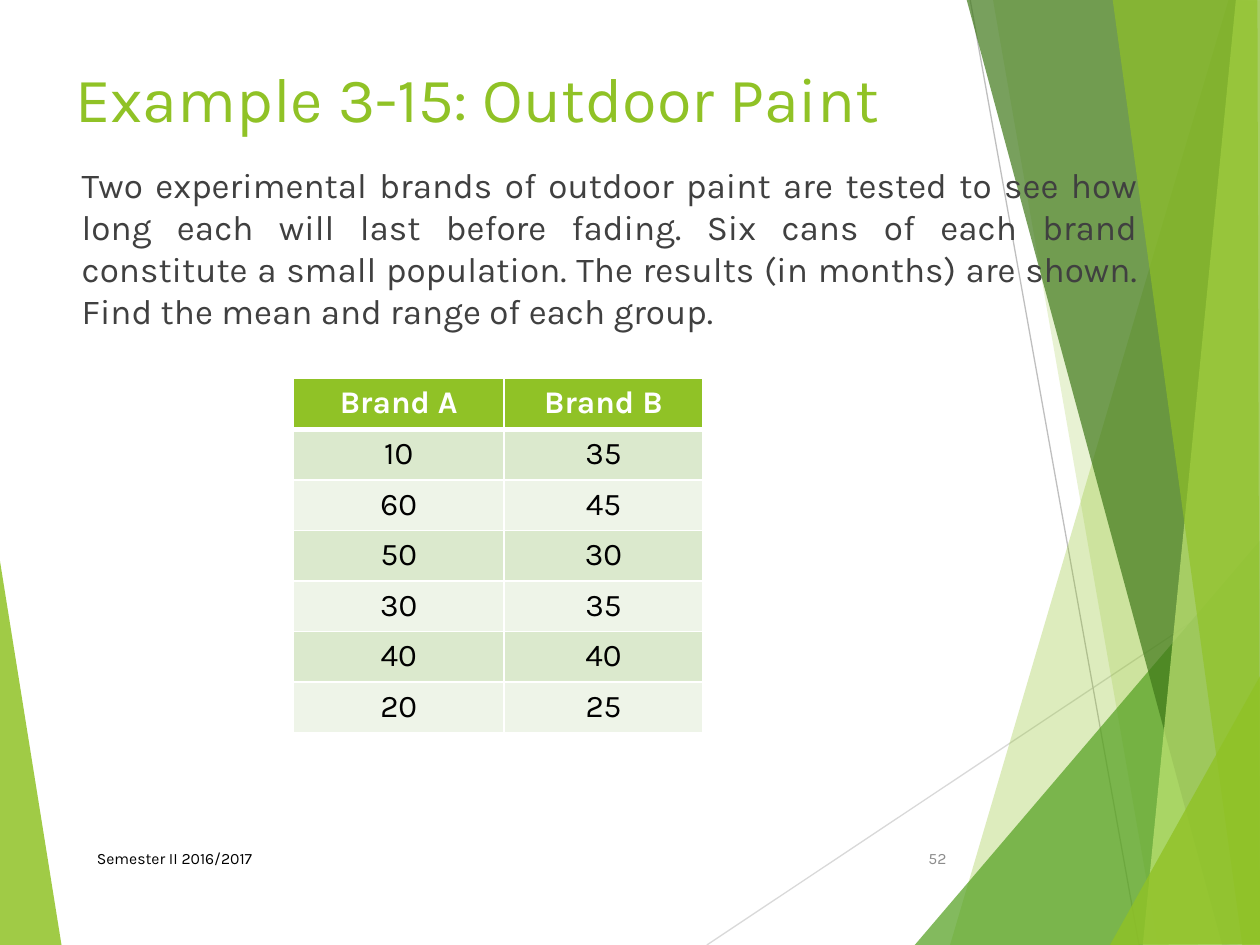
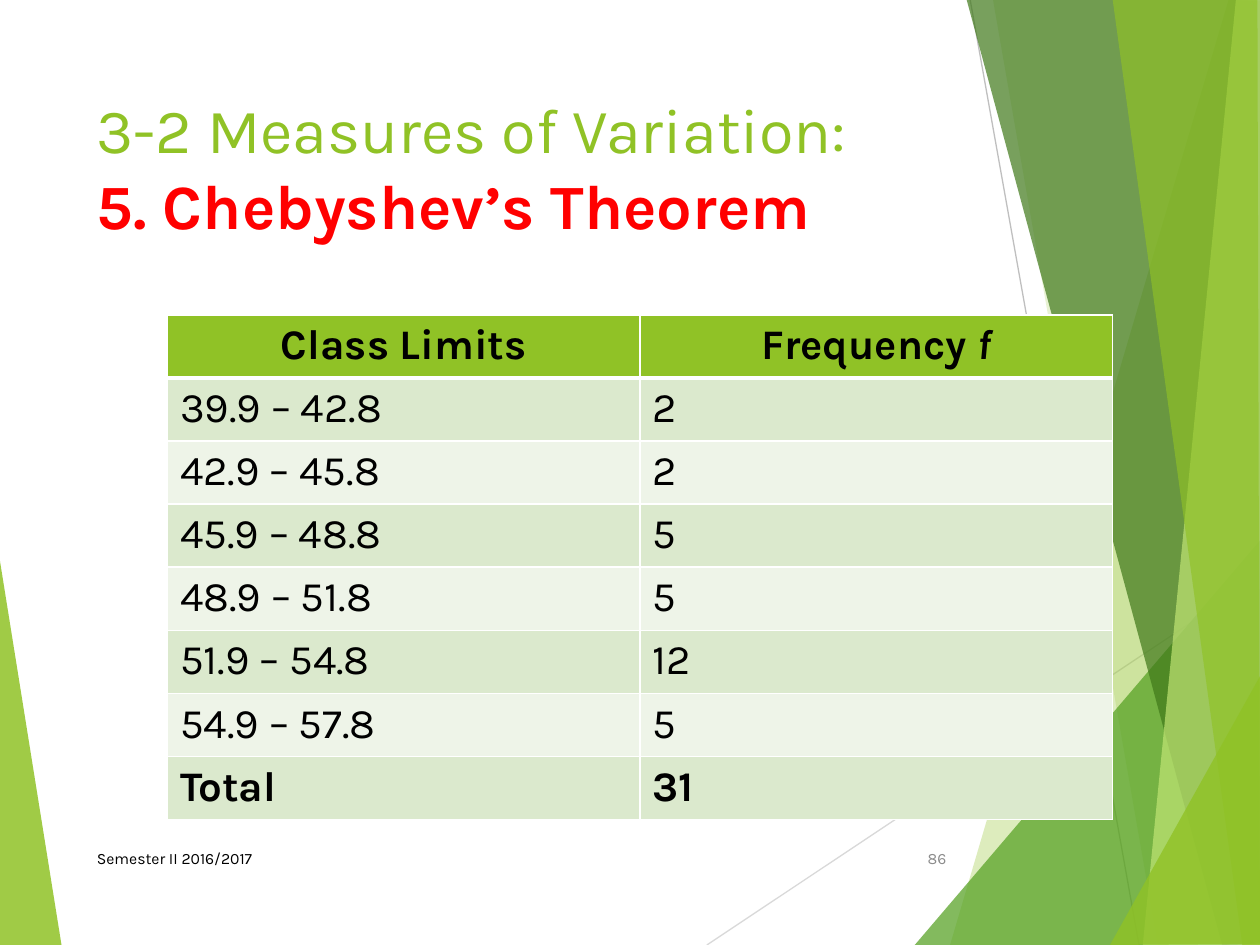
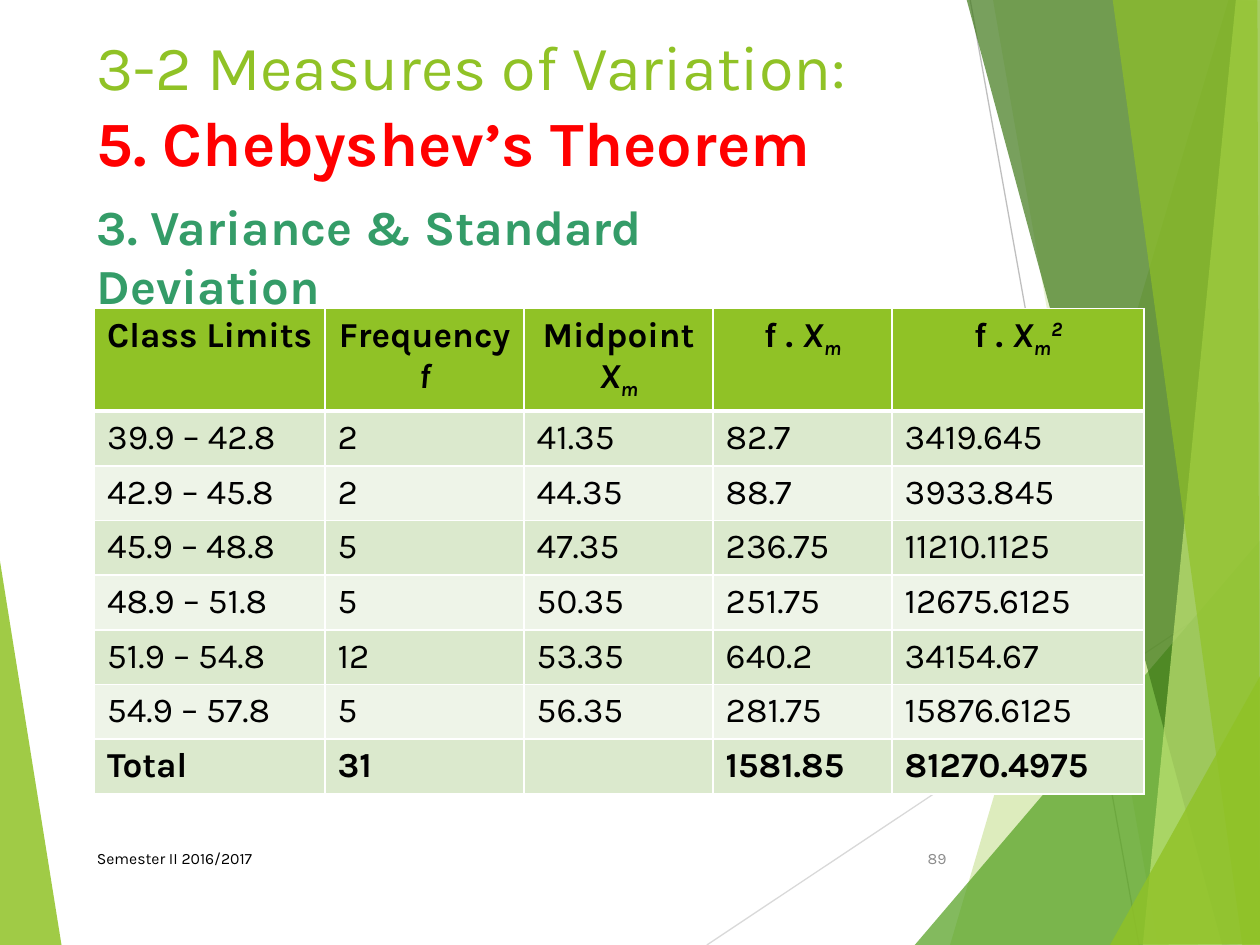
"""Three statistics slides: outdoor paint data and Chebyshev frequency tables."""
from lxml.etree import SubElement
from pptx import Presentation
from pptx.dml.color import RGBColor
from pptx.enum.shapes import MSO_CONNECTOR as Connector
from pptx.enum.text import MSO_ANCHOR as Anchor, PP_ALIGN as Align
from pptx.oxml.ns import qn
from pptx.util import Inches, Pt

FONT = "Karla"
GREEN, RED, TEAL = "90C226", "FF0000", "349C68"
BLACK, WHITE, BODY_GRAY, NUMBER_GRAY = "000000", "FFFFFF", "404040", "8C8C8C"
BAND_DARK, BAND_LIGHT = "DBE9CD", "EEF4E8"
rgb = RGBColor.from_string

LEFT_SHARD = ([(-0.01, 4.39), (0.49, 7.51), (-0.01, 7.5)], GREEN, 85)
RAYS = [((5.61, 7.5), (10.01, 4.57), "D9D9D9"), ((7.7, 0), (9.04, 7.5), "BFBFBF")]
RIGHT_SHARDS = [
    ([(9.75, 0), (7.54, 7.5), (10.02, 7.51), (10.01, 0.01)], GREEN, 30),
    ([(7.88, -0.01), (9.19, 7.5), (10.01, 7.5), (10.01, -0.01)], GREEN, 20),
    ([(7.26, 7.5), (10, 4.29), (10.01, 7.5)], "54A021", 72),
    ([(7.67, -0.01), (9.7, 7.5), (10.01, 7.49), (10.01, -0.01)], "3F7819", 70),
    ([(9.81, -0.01), (9.07, 7.5), (10.01, 7.5), (10, -0.01)], "C0E474", 70),
    ([(8.83, -0.01), (9.86, 7.5), (10, 7.5), (9.98, -0.01)], GREEN, 65),
    ([(8.81, 7.5), (10.01, 5.35), (10.01, 7.49)], GREEN, 80),
]

ITALIC = {"italic": True}
SUBSCRIPT = {"italic": True, "baseline": -25}
SUPERSCRIPT = {"italic": True, "baseline": 30}
X_M = [("X", ITALIC), ("m", SUBSCRIPT)]
CLASS_HEAD = [("Class Limits", {})]
FREQUENCY_HEAD = [("Frequency ", {}), ("f", ITALIC)]

paint_months = [(10, 35), (60, 45), (50, 30), (30, 35), (40, 40), (20, 25)]
classes = [(39.9, 42.8, 2), (42.9, 45.8, 2), (45.9, 48.8, 5),
           (48.9, 51.8, 5), (51.9, 54.8, 12), (54.9, 57.8, 5)]

frequency_rows, variance_rows = [], []
total_f = total_fx = total_fx2 = 0
for lower, upper, f in classes:
    midpoint = (lower + upper) / 2
    fx, fx2 = f * midpoint, f * midpoint ** 2
    total_f, total_fx, total_fx2 = total_f + f, total_fx + fx, total_fx2 + fx2
    limits = f"{lower} – {upper}"
    frequency_rows.append((limits, f))
    variance_rows.append((limits, f, f"{midpoint:.4g}", f"{fx:.8g}", f"{fx2:.10g}"))
frequency_rows.append(("Total", total_f))
variance_rows.append(("Total", total_f, "", f"{total_fx:.8g}", f"{total_fx2:.10g}"))

chebyshev_title = [("3-2 Measures of Variation:", {}), ("\n", {}),
                   ("5. Chebyshev’s Theorem", {"color": RED, "bold": True})]
lessons = [
    {"number": "52", "title": [("Example 3-15: Outdoor Paint", {})],
     "title_box": (0.5, 0.42, 9, 0.75),
     "table_at": (2.33, 3), "widths": (1.67, 1.58), "heights": (0.41, 0.4),
     "size": 18, "head_color": WHITE, "align": Align.CENTER,
     "heads": [[("Brand A", {})], [("Brand B", {})]], "rows": paint_months},
    {"number": "86", "title": chebyshev_title, "title_box": (0.67, 0.67, 6.94, 1.44),
     "table_at": (1.33, 2.5), "widths": (3.75, 3.75), "heights": (0.48, 0.48),
     "size": 24, "head_color": BLACK, "align": Align.LEFT,
     "heads": [CLASS_HEAD, FREQUENCY_HEAD], "rows": frequency_rows},
    {"number": "89", "title": chebyshev_title, "title_box": (0.67, 0.17, 6.94, 1.44),
     "table_at": (0.75, 2.45), "widths": (1.83, 1.58, 1.5, 1.42, 2), "heights": (0.78, 0.42),
     "size": 20, "head_color": BLACK, "align": Align.LEFT,
     "heads": [CLASS_HEAD, FREQUENCY_HEAD, [("Midpoint ", {})] + X_M,
               [("f . ", {})] + X_M, [("f . ", {})] + X_M + [("2", SUPERSCRIPT)]],
     "rows": variance_rows},
]


def write(paragraph, runs, size, color, align=Align.LEFT, bold=False):
    """Add styled runs to a paragraph."""
    paragraph.alignment = align
    for text, style in runs:
        if text == "\n":
            paragraph.add_line_break()
            continue
        run = paragraph.add_run()
        run.text = text
        run.font.name, run.font.size = FONT, Pt(size)
        run.font.bold = style.get("bold", bold)
        run.font.italic = style.get("italic", False)
        run.font.color.rgb = rgb(style.get("color", color))
        if "baseline" in style:
            run.font._element.set("baseline", str(style["baseline"] * 1000))


def add_text(slide, box, runs, size, color, anchor=Anchor.TOP, **options):
    """Add a wrapping text box with one paragraph."""
    frame = slide.shapes.add_textbox(*map(Inches, box)).text_frame
    frame.word_wrap = True
    frame.vertical_anchor = anchor
    write(frame.paragraphs[0], runs, size, color, **options)


deck = Presentation()
deck.slide_width, deck.slide_height = Inches(10), Inches(7.5)

for lesson in lessons:
    slide = deck.slides.add_slide(deck.slide_layouts[6])

    for points, color, opacity in [LEFT_SHARD] + RIGHT_SHARDS:
        start, *corners = [(Inches(x), Inches(y)) for x, y in points]
        outline = slide.shapes.build_freeform(*start)
        outline.add_line_segments(corners)
        shard = outline.convert_to_shape()
        shard.shadow.inherit = False
        shard.line.fill.background()
        shard.fill.solid()
        shard.fill.fore_color.rgb = rgb(color)
        tint = shard._element.spPr.find(".//" + qn("a:srgbClr"))
        SubElement(tint, qn("a:alpha")).set("val", str(opacity * 1000))
        if points is LEFT_SHARD[0]:
            for begin, end, ray_color in RAYS:
                ray = slide.shapes.add_connector(Connector.STRAIGHT, *map(Inches, begin + end))
                ray.line.color.rgb = rgb(ray_color)
                ray.line.width = Pt(0.75)
                SubElement(ray._element.spPr, qn("a:effectLst"))

    add_text(slide, lesson["title_box"], lesson["title"], 36, GREEN)
    add_text(slide, (0.67, 6.61, 5.06, 0.4), [("Semester II 2016/2017", {})], 9, BLACK,
             Anchor.MIDDLE)

    rows, widths = lesson["rows"], lesson["widths"]
    head_height, row_height = lesson["heights"]
    left, top = lesson["table_at"]
    table = slide.shapes.add_table(
        len(rows) + 1, len(widths), Inches(left), Inches(top),
        Inches(sum(widths)), Inches(head_height + row_height * len(rows))).table
    table.horz_banding = False
    for column, width in zip(table.columns, widths):
        column.width = Inches(width)
    body = [[[(str(value), {})] if value != "" else [] for value in row] for row in rows]
    for r, row in enumerate([lesson["heads"]] + body):
        table.rows[r].height = Inches(row_height if r else head_height)
        is_total = r > 0 and rows[r - 1][0] == "Total"
        for c, runs in enumerate(row):
            cell = table.cell(r, c)
            for side in ("L", "R", "T", "B"):
                under_head = (r, side) in ((0, "B"), (1, "T"))
                border = SubElement(cell._tc.get_or_add_tcPr(), qn("a:ln" + side))
                border.set("w", str(Pt(3 if under_head else 1)))
                paint = SubElement(border, qn("a:solidFill"))
                SubElement(paint, qn("a:srgbClr")).set("val", WHITE)
            cell.fill.solid()
            cell.fill.fore_color.rgb = rgb(
                GREEN if r == 0 else BAND_DARK if r % 2 else BAND_LIGHT)
            write(cell.text_frame.paragraphs[0], runs, lesson["size"],
                  BLACK if r else lesson["head_color"],
                  lesson["align"] if r else Align.CENTER, r == 0 or is_total)

    add_text(slide, (7.05, 6.61, 0.56, 0.4), [(lesson["number"], {})], 9, NUMBER_GRAY,
             Anchor.MIDDLE, align=Align.RIGHT)

paint_slide, _, variance_slide = deck.slides
add_text(paint_slide, (0.55, 1.25, 8.58, 2.5), [(
    "Two experimental brands of outdoor paint are tested to see how long each will last "
    "before fading. Six cans of each brand constitute a small population. The results "
    "(in months) are shown. Find the mean and range of each group.", {})],
    20, BODY_GRAY, align=Align.JUSTIFY)
add_text(variance_slide, (0.67, 1.51, 5.74, 0.57),
         [("3. Variance & Standard Deviation", {})], 28, TEAL, bold=True)

deck.save("out.pptx")
